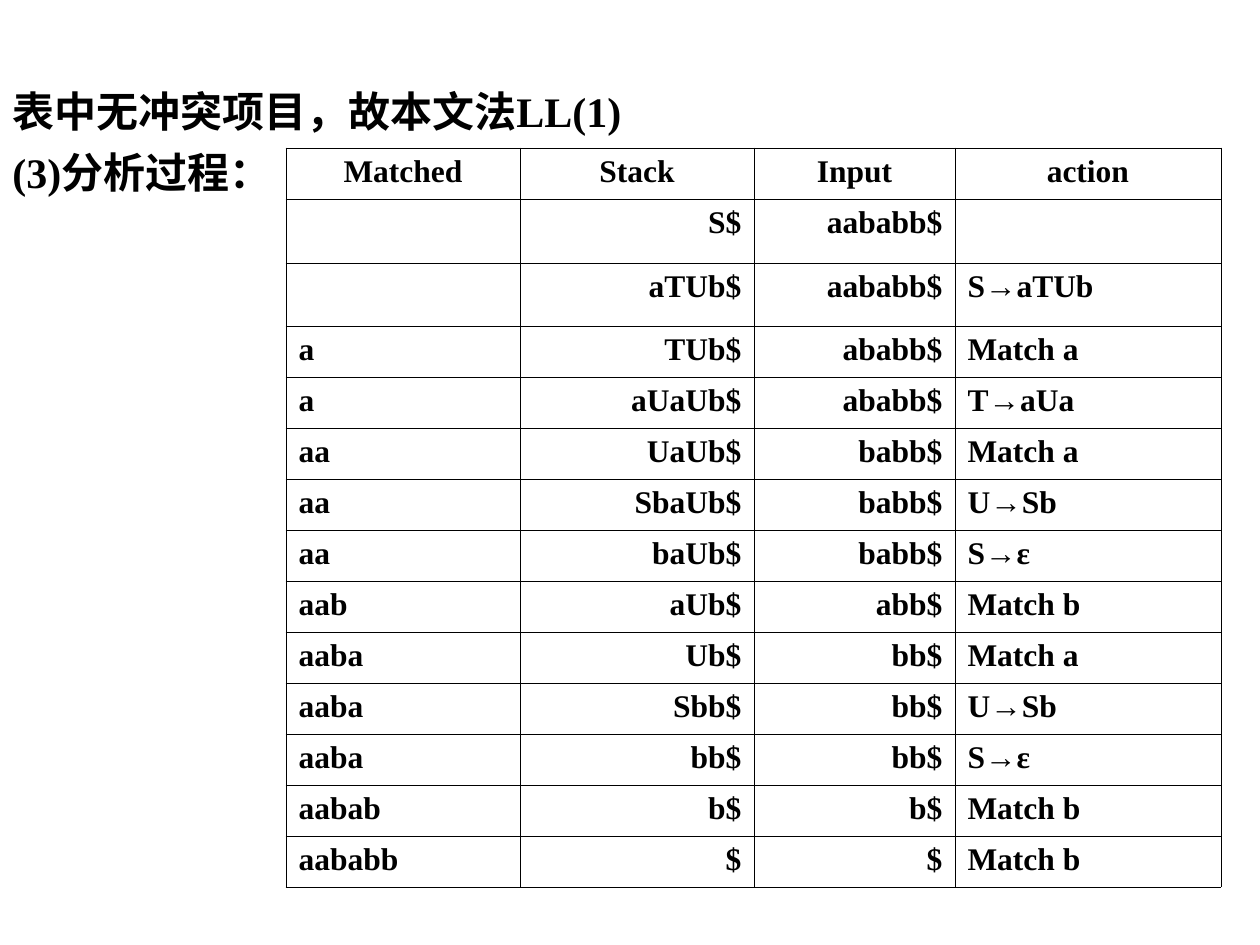
from lxml import etree
from pptx import Presentation
from pptx.dml.color import RGBColor
from pptx.enum.text import PP_ALIGN
from pptx.oxml.ns import qn
from pptx.util import Emu, Pt

LEFT, CENTER, RIGHT = PP_ALIGN.LEFT, PP_ALIGN.CENTER, PP_ALIGN.RIGHT
PX = 914400 // 126
FONT, ARROW_FONT = "Times New Roman", "Arial"
BLACK = "000000"
BORDER_PT = 0.45

HEADING = ["表中无冲突项目，故本文法LL(1)", "(3)分析过程："]
HEADERS = ["Matched", "Stack", "Input", "action"]
STEPS = [
    ("", "S$", "aababb$", ""),
    ("", "aTUb$", "aababb$", "S→aTUb"),
    ("a", "TUb$", "ababb$", "Match a"),
    ("a", "aUaUb$", "ababb$", "T→aUa"),
    ("aa", "UaUb$", "babb$", "Match a"),
    ("aa", "SbaUb$", "babb$", "U→Sb"),
    ("aa", "baUb$", "babb$", "S→ε"),
    ("aab", "aUb$", "abb$", "Match b"),
    ("aaba", "Ub$", "bb$", "Match a"),
    ("aaba", "Sbb$", "bb$", "U→Sb"),
    ("aaba", "bb$", "bb$", "S→ε"),
    ("aabab", "b$", "b$", "Match b"),
    ("aababb", "$", "$", "Match b"),
]
COL_WIDTHS = [234, 234, 201, 266]
COL_ALIGNS = [LEFT, RIGHT, RIGHT, LEFT]
ROW_HEIGHTS = [51, 64, 63] + [51] * 11


def px(n):
    return Emu(n * PX)


def color(value):
    return RGBColor.from_string(value)


def write(p, text, size=18, align=LEFT, before=0, hanging=0):
    """Fill a paragraph, setting each arrow in its own font."""
    p.alignment = align
    if before:
        p.space_before = Pt(before)
    if hanging:
        pPr = p._p.get_or_add_pPr()
        pPr.set("marL", str(px(hanging)))
        pPr.set("indent", str(-px(hanging)))
    p.font.size = Pt(size)
    head, arrow, tail = text.partition("→")
    for part, font in ((head, FONT), (arrow, ARROW_FONT), (tail, FONT)):
        if part:
            r = p.add_run()
            r.text = part
            r.font.name = font
            r.font.size = Pt(size)
            r.font.bold = True
            r.font.color.rgb = color(BLACK)


def add_borders(cell):
    tcPr = cell._tc.get_or_add_tcPr()
    for i, side in enumerate(("lnL", "lnR", "lnT", "lnB")):
        ln = etree.Element(qn(f"a:{side}"), w=str(Pt(BORDER_PT)))
        fill = etree.SubElement(ln, qn("a:solidFill"))
        etree.SubElement(fill, qn("a:srgbClr"), val=BLACK)
        tcPr.insert(i, ln)


def add_heading(s):
    tf = s.shapes.add_textbox(px(0), px(79), px(1239), px(147)).text_frame
    tf.word_wrap = True
    for i, line in enumerate(HEADING):
        p = tf.add_paragraph() if i else tf.paragraphs[0]
        write(p, line, size=24, before=6 if i else 0, hanging=48)


def add_steps_table(s):
    rows = [HEADERS] + STEPS
    table = s.shapes.add_table(
        len(rows), len(HEADERS), px(286), px(148),
        px(sum(COL_WIDTHS)), px(sum(ROW_HEIGHTS))).table
    table.first_row = table.horz_banding = False
    for col, width in zip(table.columns, COL_WIDTHS):
        col.width = px(width)
    for i, (row, height, texts) in enumerate(zip(table.rows, ROW_HEIGHTS, rows)):
        row.height = px(height)
        for cell, text, align in zip(row.cells, texts, COL_ALIGNS):
            cell.fill.background()
            add_borders(cell)
            write(cell.text_frame.paragraphs[0], text, align=align if i else CENTER)


def main():
    prs = Presentation()
    prs.slide_width, prs.slide_height = px(1260), px(945)
    s = prs.slides.add_slide(prs.slide_layouts[6])
    add_heading(s)
    add_steps_table(s)
    prs.save("out.pptx")


if __name__ == "__main__":
    main()
